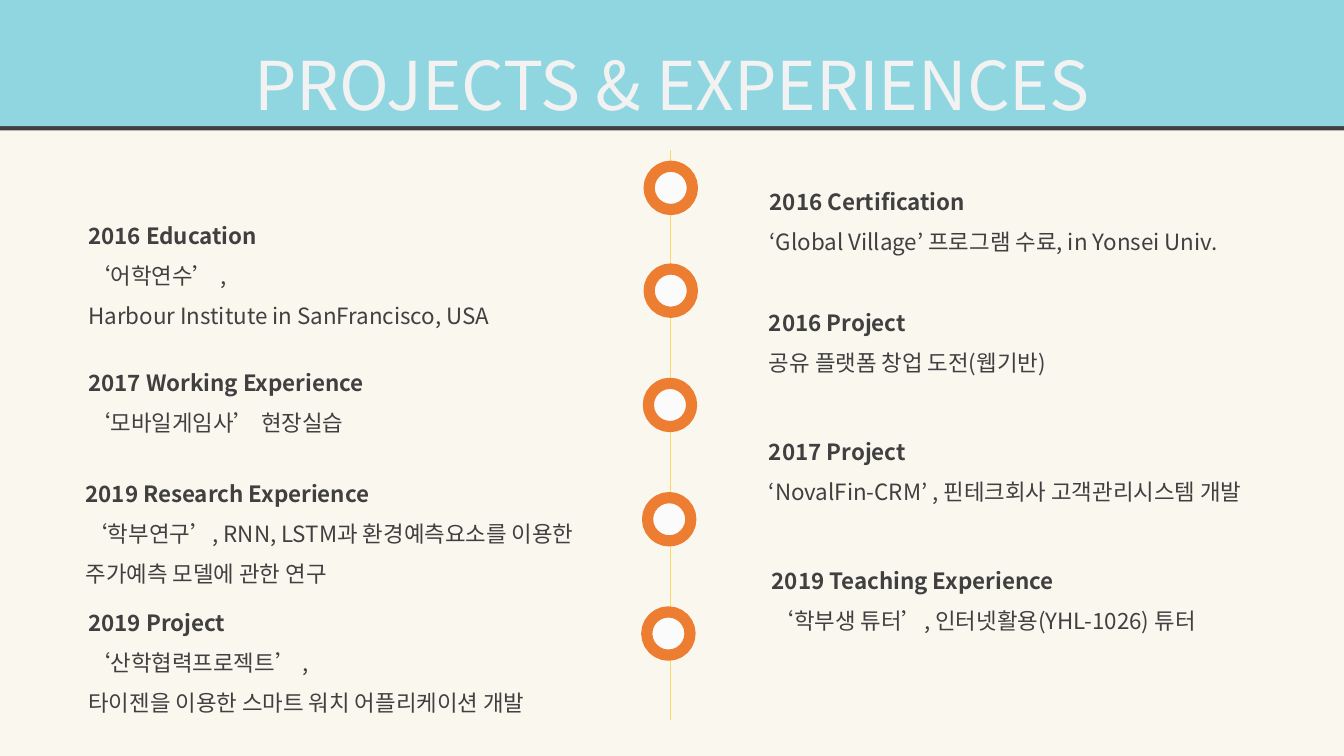
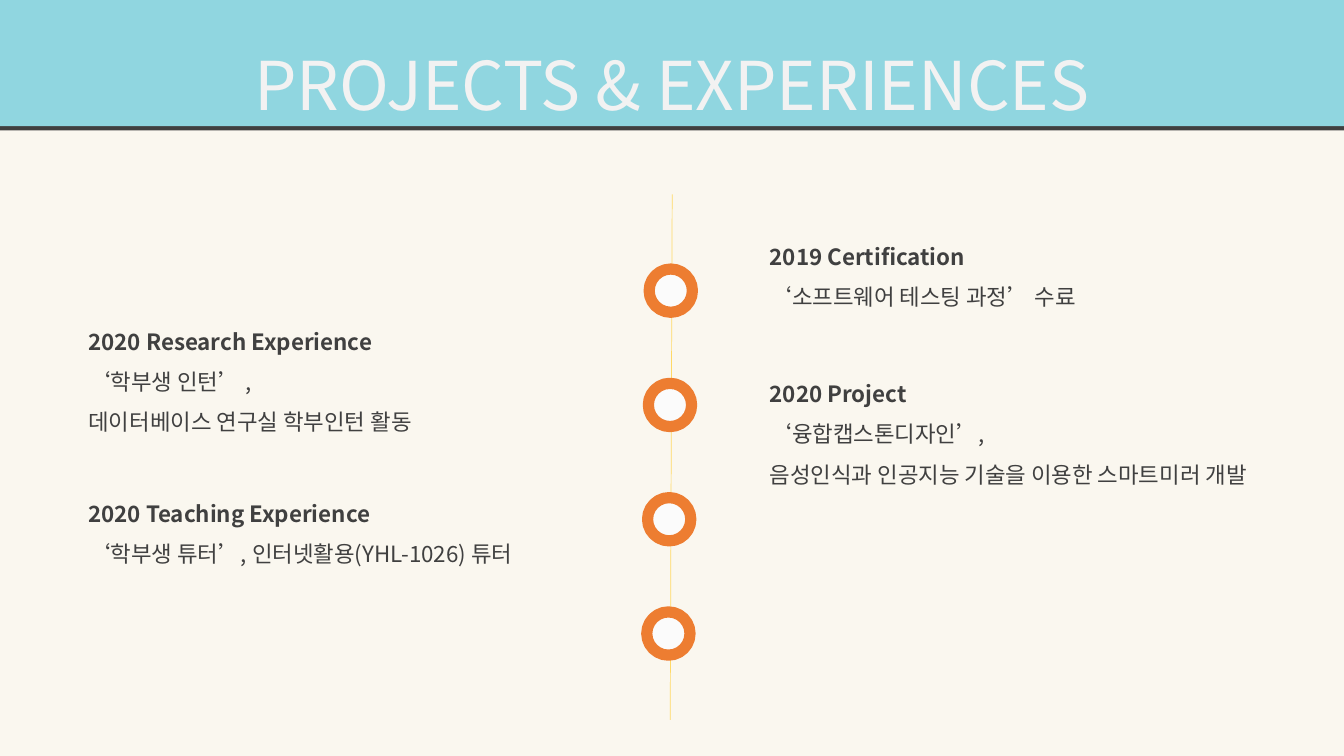
from lxml import etree
from pptx import Presentation
from pptx.dml.color import RGBColor
from pptx.enum.shapes import MSO_CONNECTOR, MSO_SHAPE
from pptx.enum.text import MSO_ANCHOR, MSO_AUTO_SIZE, PP_ALIGN
from pptx.oxml.ns import qn
from pptx.util import Cm, Pt

RECT, OVAL = MSO_SHAPE.RECTANGLE, MSO_SHAPE.OVAL
STRAIGHT = MSO_CONNECTOR.STRAIGHT
MIDDLE, CENTER, LEFT = MSO_ANCHOR.MIDDLE, PP_ALIGN.CENTER, PP_ALIGN.LEFT
GROW = MSO_AUTO_SIZE.SHAPE_TO_FIT_TEXT

WIDTH, HEIGHT = 33.87, 19.05
FONT = "Noto Sans CJK KR"
COLORS = {
    "paper": "FAF7EF",
    "band": "90D6E0",
    "title": "F2F2F2",
    "ink": "404040",
    "axis": "FFD966",
    "ring": "ED7D31",
    "hole": "FBFBFB",
}
TITLE = "PROJECTS & EXPERIENCES"
RING, RING_TOP, RING_STEP = 1.09, 6.78, 2.88
RING_LEFT, RING_DRIFT = 16.36, 0.02

TIMELINES = [
    {
        "axis": (16.9, 3.78, 16.9, 18.14),
        "extra_rings": [4.19],
        "entries": [
            (1.98, 5.13, 13.49, 3, "2016 Education",
             ["‘어학연수’ ,", "Harbour Institute in SanFrancisco, USA"]),
            (1.98, 8.84, 9.5, 2, "2017 Working Experience",
             ["‘모바일게임사’ 현장실습"]),
            (1.91, 11.63, 14.38, 3, "2019 Research Experience",
             ["‘학부연구’, RNN, LSTM과 환경예측요소를 이용한 주가예측 모델에 관한 연구"]),
            (1.98, 14.88, 14.38, 3, "2019 Project",
             ["‘산학협력프로젝트’ ,", "타이젠을 이용한 스마트 워치 어플리케이션 개발"]),
            (19.15, 4.27, 12.55, 2, "2016 Certification",
             ["‘Global Village’ 프로그램 수료, in Yonsei Univ."]),
            (19.13, 7.32, 12.78, 2, "2016 Project",
             ["공유 플랫폼 창업 도전(웹기반)"]),
            (19.13, 10.57, 14.38, 2, "2017 Project",
             ["‘NovalFin-CRM’ , 핀테크회사 고객관리시스템 개발"]),
            (19.2, 13.82, 14.38, 2, "2019 Teaching Experience",
             ["‘학부생 튜터’, 인터넷활용(YHL-1026) 튜터"]),
        ],
    },
    {
        "axis": (16.94, 4.9, 16.89, 18.14),
        "extra_rings": [],
        "entries": [
            (1.98, 7.8, 13.49, 3, "2020 Research Experience",
             ["‘학부생 인턴’ ,", "데이터베이스 연구실 학부인턴 활동"]),
            (1.98, 12.14, 14.38, 2, "2020 Teaching Experience",
             ["‘학부생 튜터’, 인터넷활용(YHL-1026) 튜터"]),
            (19.15, 5.66, 8.59, 2, "2019 Certification",
             ["‘소프트웨어 테스팅 과정’ 수료"]),
            (19.15, 9.12, 13.28, 3, "2020 Project",
             ["‘융합캡스톤디자인’,", "음성인식과 인공지능 기술을 이용한 스마트미러 개발"]),
        ],
    },
]


def rgb(name):
    return RGBColor.from_string(COLORS[name])


def write(p, text, size=16, color="ink", bold=False, align=LEFT):
    p.alignment = align
    p.line_spacing = 1.5
    r = p.add_run()
    r.text = text
    r.font.size = Pt(size)
    r.font.bold = bold
    r.font.color.rgb = rgb(color)
    r.font.name = FONT
    etree.SubElement(r.font._element, qn("a:ea"), typeface=FONT)


class Deck:
    """Hold the shared style and the slide being built."""

    def __init__(self):
        self.prs = Presentation()
        self.prs.slide_width = Cm(WIDTH)
        self.prs.slide_height = Cm(HEIGHT)
        self.s = None

    def slide(self):
        self.s = self.prs.slides.add_slide(self.prs.slide_layouts[6])
        fill = self.s.background.fill
        fill.solid()
        fill.fore_color.rgb = rgb("paper")

    def shape(self, kind, left, top, width, height, fill):
        sp = self.s.shapes.add_shape(kind, Cm(left), Cm(top), Cm(width), Cm(height))
        sp.shadow.inherit = False
        sp.fill.solid()
        sp.fill.fore_color.rgb = rgb(fill)
        sp.line.fill.background()
        return sp

    def band(self, text):
        sp = self.shape(RECT, 0, 0, WIDTH, 3.18, "band")
        effects = sp._element.spPr.find(qn("a:effectLst"))
        shadow = etree.SubElement(effects, qn("a:outerShdw"), blurRad="0",
                                  dist=str(Pt(3)), dir="5400000",
                                  algn="t", rotWithShape="0")
        etree.SubElement(shadow, qn("a:srgbClr"), val=COLORS["ink"])
        tf = sp.text_frame
        tf.vertical_anchor = MIDDLE
        write(tf.paragraphs[0], text, size=48, color="title", align=CENTER)

    def axis(self, x1, y1, x2, y2):
        line = self.s.shapes.add_connector(STRAIGHT, Cm(x1), Cm(y1), Cm(x2), Cm(y2))
        line.line.color.rgb = rgb("axis")
        line.line.width = Pt(0.5)
        etree.SubElement(line._element.spPr, qn("a:effectLst"))

    def ring(self, left, top):
        sp = self.shape(OVAL, left, top, RING, RING, "hole")
        sp.line.color.rgb = rgb("ring")
        sp.line.width = Pt(8)

    def entry(self, left, top, width, rows, heading, details):
        height = 0.15 + 1.02 * rows
        box = self.s.shapes.add_textbox(Cm(left), Cm(top), Cm(width), Cm(height))
        tf = box.text_frame
        tf.word_wrap = True
        tf.auto_size = GROW
        write(tf.paragraphs[0], heading, bold=True)
        for detail in details:
            write(tf.add_paragraph(), detail)

    def timeline(self, axis, extra_rings, entries):
        self.slide()
        self.band(TITLE)
        self.axis(*axis)
        for top in extra_rings:
            self.ring(RING_LEFT, top)
        for i in range(4):
            self.ring(RING_LEFT - RING_DRIFT * i, RING_TOP + RING_STEP * i)
        for entry in entries:
            self.entry(*entry)


def main():
    deck = Deck()
    for timeline in TIMELINES:
        deck.timeline(**timeline)
    deck.prs.save("out.pptx")


if __name__ == "__main__":
    main()
